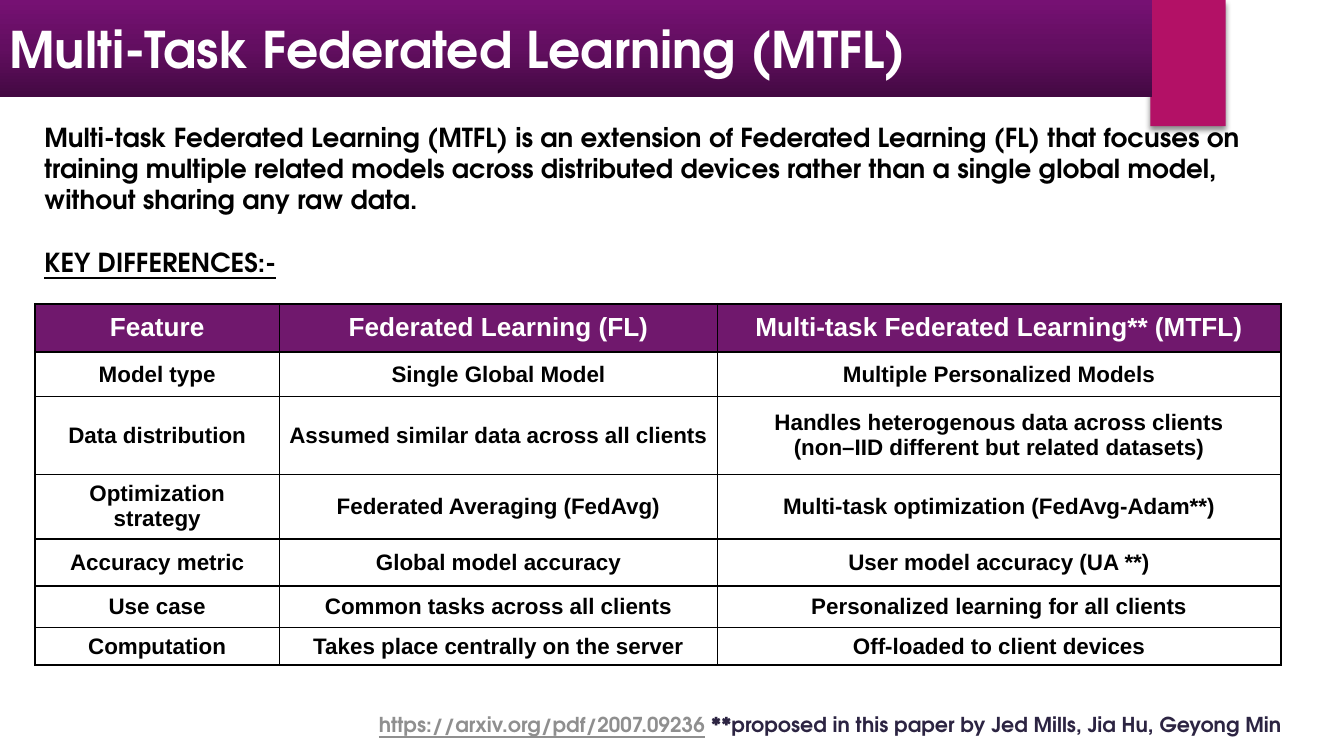
from copy import deepcopy

from lxml import etree
from pptx import Presentation
from pptx.dml.color import RGBColor
from pptx.enum.shapes import MSO_SHAPE
from pptx.enum.text import MSO_ANCHOR, MSO_AUTO_SIZE, PP_ALIGN
from pptx.oxml import parse_xml
from pptx.oxml.ns import nsdecls, qn
from pptx.util import Inches, Pt

RECT = MSO_SHAPE.RECTANGLE
MIDDLE = MSO_ANCHOR.MIDDLE
FIT, FIXED = MSO_AUTO_SIZE.SHAPE_TO_FIT_TEXT, MSO_AUTO_SIZE.NONE
LEFT, CENTER, RIGHT = PP_ALIGN.LEFT, PP_ALIGN.CENTER, PP_ALIGN.RIGHT

COLORS = {
    "pink": "B31166", "dark": "430942", "mid": "620E60", "bright": "761173",
    "head": "70186D", "black": "000000", "white": "FFFFFF",
    "link": "8F8F8F", "note": "2C2442",
}
DISPLAY, BODY = "TeX Gyre Adventor", "Arial"

INTRO = (
    "Multi-task Federated Learning (MTFL) is an extension of Federated "
    "Learning (FL) that focuses on training multiple related models across "
    "distributed devices rather than a single global model, without sharing "
    "any raw data."
)
COLS = [1.82, 3.26, 4.19]
HEIGHTS = [0.36, 0.33, 0.58, 0.48, 0.35, 0.31, 0.27]
ROWS = [
    ("Feature", "Federated Learning (FL)",
     "Multi-task Federated Learning** (MTFL)"),
    ("Model type", "Single Global Model", "Multiple Personalized Models"),
    ("Data distribution", "Assumed similar data across all clients",
     "Handles heterogenous data across clients\n"
     "(non–IID different but related datasets)"),
    ("Optimization strategy", "Federated Averaging (FedAvg)",
     "Multi-task optimization (FedAvg-Adam**)"),
    ("Accuracy metric", "Global model accuracy", "User model accuracy (UA **)"),
    ("Use case", "Common tasks across all clients",
     "Personalized learning for all clients"),
    ("Computation", "Takes place centrally on the server",
     "Off-loaded to client devices"),
]


def rgb(name):
    return RGBColor.from_string(COLORS[name])


def add_run(para, text, size=14, font=DISPLAY, color="black", line=False):
    run = para.add_run()
    run.text = text
    run.font.size = Pt(size)
    run.font.name = font
    run.font.bold = True
    run.font.underline = line
    run.font.color.rgb = rgb(color)


def set_pad(part):
    part.margin_left = part.margin_right = Inches(0.07)
    part.margin_top = part.margin_bottom = Inches(0.04)


def add_box(slide, x, y, w, h):
    frame = slide.shapes.add_textbox(*map(Inches, (x, y, w, h))).text_frame
    set_pad(frame)
    frame.word_wrap = True
    frame.auto_size = FIT
    return frame


def add_tab(slide):
    """Add the pink tab with its soft shadow, behind the title."""
    tab = slide.shapes.add_shape(
        RECT, Inches(8.56), 0, Inches(0.56), Inches(0.94))
    tab.fill.solid()
    tab.fill.fore_color.rgb = rgb("pink")
    tab.line.fill.background()
    tab._element.spPr.append(parse_xml(
        f'<a:effectLst {nsdecls("a")}><a:outerShdw blurRad="{Pt(3)}" '
        f'dist="{Pt(2)}" dir="5400000" rotWithShape="0">'
        f'<a:srgbClr val="{COLORS["black"]}"><a:alpha val="45000"/>'
        '</a:srgbClr></a:outerShdw></a:effectLst>'))
    slide.shapes._spTree.insert(2, tab._element)


def set_title(slide, text):
    title = slide.shapes.title
    title.left, title.top = 0, 0
    title.width, title.height = Inches(8.57), Inches(0.72)
    props = title._element.spPr
    etree.SubElement(props, qn("a:prstGeom"), prst="flowChartDocument")
    fill = title.fill
    fill.gradient()
    fill.gradient_angle = 90
    stops = props.find(".//" + qn("a:gsLst"))
    stops.insert(1, deepcopy(stops[0]))
    for stop, name, pos in zip(
            fill.gradient_stops, ("dark", "mid", "bright"), (0, 0.5, 1)):
        stop.color.rgb = rgb(name)
        stop.position = pos
    frame = title.text_frame
    set_pad(frame)
    frame.word_wrap = True
    frame.auto_size = FIXED
    frame.vertical_anchor = MIDDLE
    para = frame.paragraphs[0]
    para.alignment = LEFT
    add_run(para, text, size=27, color="white")


def add_intro(slide):
    frame = add_box(slide, 0.26, 0.86, 9.35, 1.21)
    add_run(frame.paragraphs[0], INTRO)
    para = frame.add_paragraph()
    para.space_before = Pt(17)
    add_run(para, "KEY DIFFERENCES:-", line=True)


def set_edges(cell):
    props = cell._tc.get_or_add_tcPr()
    for side in ("lnL", "lnR", "lnT", "lnB"):
        edge = etree.SubElement(props, qn("a:" + side), w=str(Pt(1)))
        paint = etree.SubElement(edge, qn("a:solidFill"))
        etree.SubElement(paint, qn("a:srgbClr"), val=COLORS["black"])


def fill_cell(cell, text, head):
    set_edges(cell)
    if head:
        cell.fill.solid()
        cell.fill.fore_color.rgb = rgb("head")
    else:
        cell.fill.background()
    set_pad(cell)
    cell.vertical_anchor = MIDDLE
    frame = cell.text_frame
    for i, part in enumerate(text.split("\n")):
        para = frame.add_paragraph() if i else frame.paragraphs[0]
        para.alignment = CENTER
        add_run(para, part, size=14 if head else 12, font=BODY,
                color="white" if head else "black")


def add_grid(slide):
    table = slide.shapes.add_table(
        len(ROWS), len(COLS), Inches(0.26), Inches(2.26),
        Inches(sum(COLS)), Inches(sum(HEIGHTS))).table
    table.horz_banding = False
    for col, width in zip(table.columns, COLS):
        col.width = Inches(width)
    for r, (row, height) in enumerate(zip(ROWS, HEIGHTS)):
        table.rows[r].height = Inches(height)
        for c, text in enumerate(row):
            fill_cell(table.cell(r, c), text, head=r == 0)


def add_source(slide):
    para = add_box(slide, 1.35, 5.26, 8.26, 0.25).paragraphs[0]
    para.alignment = RIGHT
    add_run(para, "https://arxiv.org/pdf/2007.09236", size=11, color="link",
            line=True)
    add_run(para, " **proposed in this paper by Jed Mills, Jia Hu, Geyong Min",
            size=11, color="note")


def main():
    deck = Presentation()
    deck.slide_width = Inches(10)
    deck.slide_height = Inches(10 * 9 / 16)
    slide = deck.slides.add_slide(deck.slide_layouts[5])
    add_tab(slide)
    set_title(slide, "Multi-Task Federated Learning (MTFL)")
    add_intro(slide)
    add_grid(slide)
    add_source(slide)
    deck.save("out.pptx")


if __name__ == "__main__":
    main()
